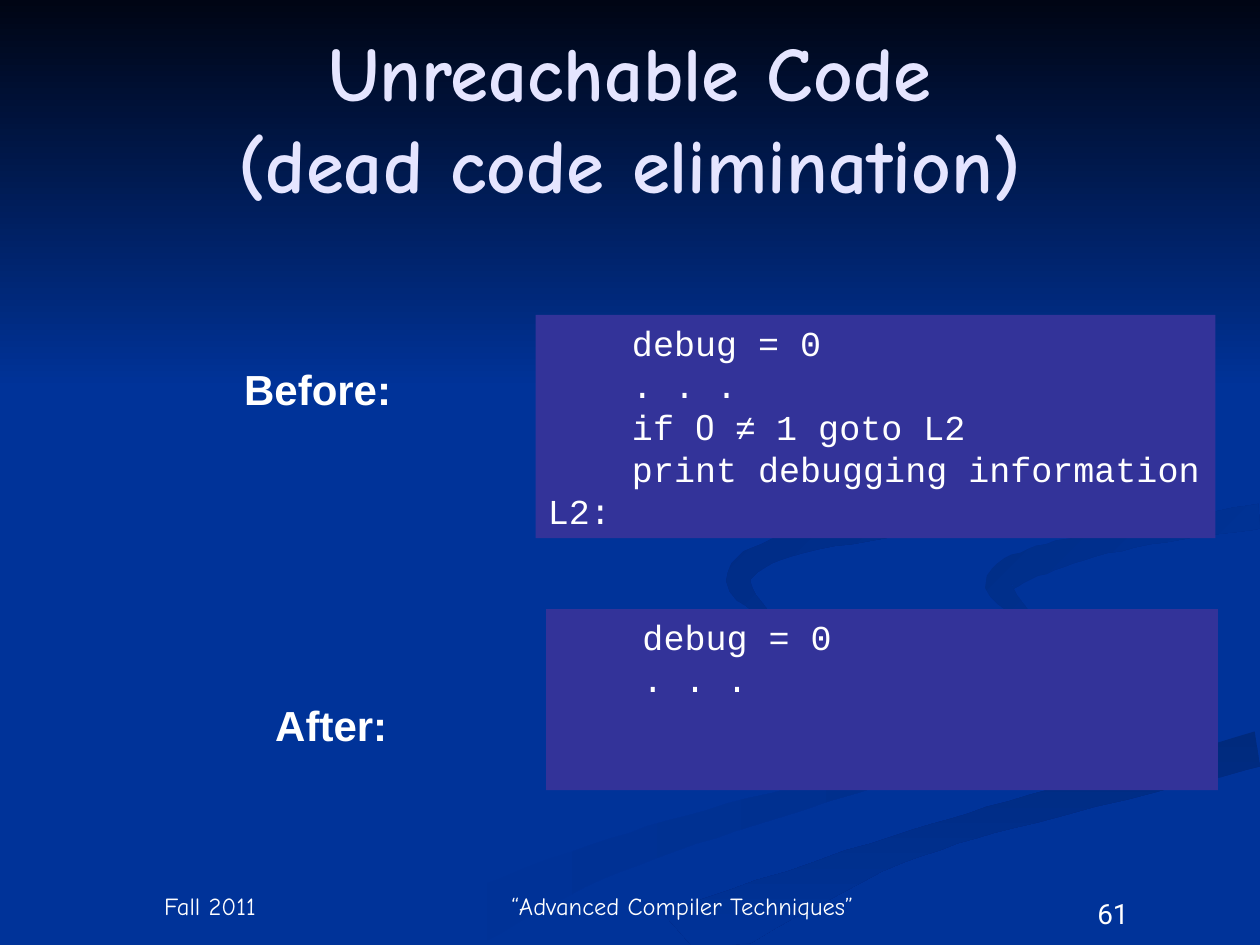
import math

import pptx
import pptx.dml.color
import pptx.enum.shapes
import pptx.enum.text
import pptx.util

Pt = pptx.util.Pt
ALIGN = pptx.enum.text.PP_ALIGN
ANCHOR = pptx.enum.text.MSO_ANCHOR

PAGE_WIDTH, PAGE_HEIGHT = 720, 540
STEPS = 8  # points between two nodes of a ribbon

COLOURS = {
    "blue": "003399", "night": "000514", "panel": "333399",
    "white": "FFFFFF", "title": "E5E5FF",
    "shade_low": "002E8B", "shade_edge": "002A7D",
    "shade_right": "002D86", "shade_top": "002B82",
}


def rgb(name):
    return pptx.dml.color.RGBColor.from_string(COLOURS[name])


def paint(shape, first, last=None, angle=0):
    """Fill a shape plainly, or with a gradient turned clockwise by angle."""
    shape.shadow.inherit = False
    shape.line.fill.background()
    if last is None:
        shape.fill.solid()
        shape.fill.fore_color.rgb = rgb(first)
        return
    shape.fill.gradient()
    shape.fill.gradient_angle = -angle % 360
    for stop, name, position in zip(shape.fill.gradient_stops, (first, last), (0, 1)):
        stop.color.rgb = rgb(name)
        stop.position = position


def write(box, lines, font="Arial", size=24, colour="white", bold=False,
          align=ALIGN.CENTER, anchor=ANCHOR.TOP, wrap=True):
    """Write paragraphs; each is a string or a list of (text, font) spans."""
    frame = box.text_frame
    frame.word_wrap = wrap
    frame.auto_size = pptx.enum.text.MSO_AUTO_SIZE.NONE
    frame.vertical_anchor = anchor
    for index, line in enumerate(lines):
        para = frame.add_paragraph() if index else frame.paragraphs[0]
        para.alignment = align
        para.space_before = Pt(0)
        for text, face in [(line, font)] if isinstance(line, str) else line:
            for row, part in enumerate(text.split("\n")):
                if row:
                    para.add_line_break()
                span = para.add_run()
                span.text = part
                span.font.name = face
                span.font.size = Pt(size)
                span.font.bold = bold
                span.font.color.rgb = rgb(colour)


def add_label(page, text, left, top, width, height, **style):
    box = page.shapes.add_textbox(Pt(left), Pt(top), Pt(width), Pt(height))
    write(box, [text], **style)


def add_rectangle(page, left, top, width, height):
    return page.shapes.add_shape(pptx.enum.shapes.MSO_SHAPE.RECTANGLE,
                                 Pt(left), Pt(top), Pt(width), Pt(height))


def add_code(page, lines, left, top, width, height):
    panel = add_rectangle(page, left, top, width, height)
    paint(panel, "panel")
    write(panel, lines, font="Courier New", size=20, align=ALIGN.LEFT)


def smooth(nodes):
    """Run a Catmull-Rom curve through (x, y, half width) nodes."""
    padded = [nodes[0], *nodes, nodes[-1]]
    curve = []
    for before, start, end, after in zip(padded, padded[1:], padded[2:], padded[3:]):
        for step in range(STEPS):
            t = step / STEPS
            curve.append([
                b + t / 2 * (c - a + t * (2 * a - 5 * b + 4 * c - d
                                          + t * (3 * b - 3 * c + d - a)))
                for a, b, c, d in zip(before, start, end, after)])
    return curve + [nodes[-1]]


def add_ribbon(page, nodes, *colours, angle):
    """Draw a curved band by stepping to both sides of its centre line."""
    curve = smooth(nodes)
    sides = [], []
    for index, (x, y, half) in enumerate(curve):
        behind = curve[max(index - 1, 0)]
        ahead = curve[min(index + 1, len(curve) - 1)]
        heading = math.atan2(ahead[1] - behind[1], ahead[0] - behind[0])
        for side, offset in zip(sides, (half, -half)):
            across = x - offset * math.sin(heading)
            down = y + offset * math.cos(heading)
            side.append((min(across, PAGE_WIDTH), min(down, PAGE_HEIGHT)))
    outline = sides[0] + sides[1][::-1]
    builder = page.shapes.build_freeform(*outline[0], scale=Pt(1))
    builder.add_line_segments(outline[1:], close=True)
    paint(builder.convert_to_shape(), *colours, angle=angle)


def add_backdrop(page):
    page.background.fill.solid()
    page.background.fill.fore_color.rgb = rgb("blue")
    # Long band sweeping to the lower left
    add_ribbon(page, [(566, 410, 5), (520, 438, 5), (418, 467, 8), (330, 497, 11),
                      (238, 540, 18)], "blue", "shade_low", angle=0)
    # Band rising to the right edge
    add_ribbon(page, [(720, 428, 10), (591, 462, 8), (501, 490, 9), (387, 540, 20)],
               "shade_edge", "blue", angle=90)
    # Curl on the right
    add_ribbon(page, [(720, 295, 7), (647, 307, 6), (595, 320, 8), (571, 335, 8),
                      (595, 357, 0)], "shade_right", "blue", angle=45)
    # Curl in the middle
    add_ribbon(page, [(642, 240, 3), (620, 275, 4), (530, 297, 6), (450, 312, 6),
                      (422, 332, 7), (448, 360, 0)], "shade_top", "blue", angle=45)
    # Dark sky fading down
    paint(add_rectangle(page, 0, 0, PAGE_WIDTH, 222), "night", "blue", 90)


def add_title(page, text):
    title = page.shapes.title
    title.left, title.top, title.width, title.height = Pt(36), Pt(21.6), Pt(648), Pt(90)
    write(title, [text], font="Comic Neue", size=44, colour="title", bold=True,
          anchor=ANCHOR.MIDDLE)
    # Keep the title in front of the backdrop
    page.shapes._spTree.append(title._element)


def main():
    deck = pptx.Presentation()
    deck.slide_width, deck.slide_height = Pt(PAGE_WIDTH), Pt(PAGE_HEIGHT)
    page = deck.slides.add_slide(deck.slide_layouts[5])
    add_backdrop(page)

    # Footer
    footer = dict(font="Comic Neue", size=14, anchor=ANCHOR.BOTTOM)
    add_label(page, "61", 576, 509, 120, 29, font="Roboto", size=16)
    add_label(page, "Fall 2011", 36, 504, 168, 25.6, **footer)
    add_label(page, "“Advanced Compiler Techniques”", 276, 504, 228, 25.6, **footer)

    add_title(page, "Unreachable Code\n(dead code elimination)")

    # Code before and after elimination
    add_label(page, "Before:", 132.5, 204, 98, 36, bold=True, wrap=False)
    add_label(page, "After:", 150, 396, 78.5, 36, bold=True, wrap=False)
    kept = ["    debug = 0", "    . . ."]
    condition = [("    if ", "Courier New"), ("0", "Roboto"), (" ", "Courier New"),
                 ("≠", "Arial"), (" 1 goto L2", "Courier New")]
    removed = [condition, "    print debugging information", "L2:"]
    add_code(page, kept, 312, 348, 384, 103.5)
    add_code(page, kept + removed, 306, 180, 388.5, 127.5)
    deck.save("out.pptx")


if __name__ == "__main__":
    main()
